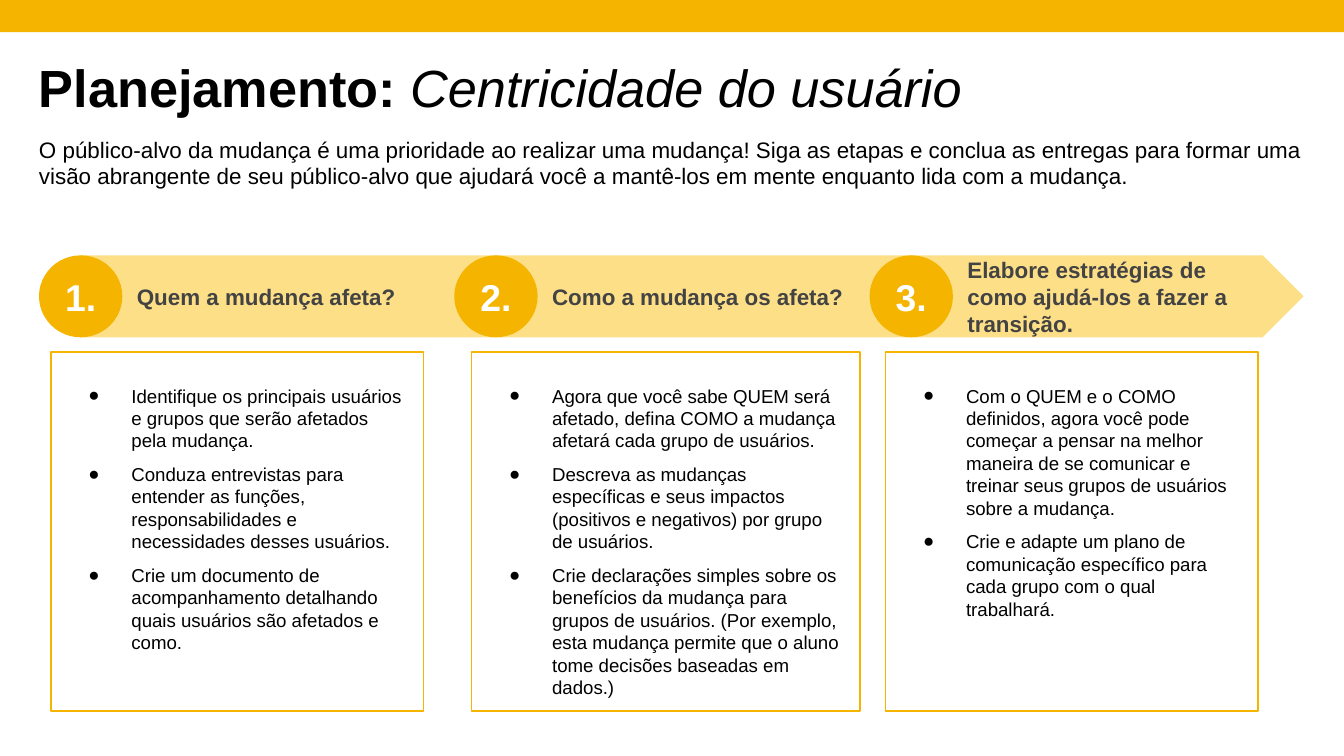
from lxml import etree
from pptx import Presentation
from pptx import util as u
from pptx.dml.color import RGBColor
from pptx.enum import shapes, text
from pptx.oxml.ns import qn

W = 10
H = W * 9 / 16
GOLD, PALE, GREY, BLACK, WHITE = "F4B400", "FDDF87", "434343", "000000", "FFFFFF"
LEFT, WIDE = 0.29, 9.41
STEP, ROW, BALL, BAR = 3.09, 1.9, 0.62, 0.61
KIND = shapes.MSO_SHAPE
MID = text.MSO_ANCHOR.MIDDLE

TITLE = [("Planejamento: ", True, False), ("Centricidade do usuário", False, True)]
INTRO = (
    "O público-alvo da mudança é uma prioridade ao realizar uma mudança! Siga as etapas "
    "e conclua as entregas para formar uma visão abrangente de seu público-alvo que "
    "ajudará você a mantê-los em mente enquanto lida com a mudança."
)
STEPS = [
    {"head": "Quem a mudança afeta?", "span": 2.37, "box": (0.38, 2.77), "items": [
        "Identifique os principais usuários e grupos que serão afetados pela mudança.",
        "Conduza entrevistas para entender as funções, responsabilidades e necessidades "
        "desses usuários.",
        "Crie um documento de acompanhamento detalhando quais usuários são afetados e como.",
    ]},
    {"head": "Como a mudança os afeta?", "span": 2.47, "box": (3.51, 2.89), "items": [
        "Agora que você sabe QUEM será afetado, defina COMO a mudança afetará cada grupo "
        "de usuários.",
        "Descreva as mudanças específicas e seus impactos (positivos e negativos) por grupo "
        "de usuários.",
        "Crie declarações simples sobre os benefícios da mudança para grupos de usuários. "
        "(Por exemplo, esta mudança permite que o aluno tome decisões baseadas em dados.)",
    ]},
    {"head": "Elabore estratégias de como ajudá-los a fazer a transição.", "span": 2.26,
     "box": (6.59, 2.77), "items": [
        "Com o QUEM e o COMO definidos, agora você pode começar a pensar na melhor maneira "
        "de se comunicar e treinar seus grupos de usuários sobre a mudança.",
        "Crie e adapte um plano de comunicação específico para cada grupo com o qual "
        "trabalhará.",
    ]},
]


def tint(code):
    return RGBColor.from_string(code)


def draw(slide, kind, *at, fill=None, line=None):
    shape = slide.shapes.add_shape(kind, *map(u.Inches, at))
    shape.shadow.inherit = False
    if fill:
        shape.fill.solid()
        shape.fill.fore_color.rgb = tint(fill)
    else:
        shape.fill.background()
    if line:
        shape.line.color.rgb = tint(line)
        shape.line.width = u.Pt(0.75)
    else:
        shape.line.fill.background()
    return shape


def area(slide, *at):
    return slide.shapes.add_textbox(*map(u.Inches, at))


def dot(para):
    props = para._p.get_or_add_pPr()
    props.set("marL", str(u.Inches(0.5)))
    props.set("indent", str(u.Inches(-0.32)))
    tone = etree.SubElement(props, qn("a:buClr"))
    etree.SubElement(tone, qn("a:srgbClr"), val=BLACK)
    etree.SubElement(props, qn("a:buFont"), typeface="Arial")
    etree.SubElement(props, qn("a:buChar"), char="●")


def write(shape, paras, size=12, color=BLACK, bold=False, inset=(0.1, 0.05, 0.1, 0.05),
          anchor=text.MSO_ANCHOR.TOP, align=text.PP_ALIGN.LEFT, lead=None, after=0,
          bullet=False):
    frame = shape.text_frame
    frame.word_wrap = True
    frame.vertical_anchor = anchor
    (frame.margin_left, frame.margin_top,
     frame.margin_right, frame.margin_bottom) = map(u.Inches, inset)
    for i, runs in enumerate(paras):
        para = frame.add_paragraph() if i else frame.paragraphs[0]
        para.alignment = align
        para.space_after = u.Pt(after)
        if lead:
            para.line_spacing = lead
        if bullet:
            dot(para)
        for words, heavy, slant in [(runs, bold, False)] if isinstance(runs, str) else runs:
            run = para.add_run()
            run.text = words
            font = run.font
            font.name, font.size = "Arial", u.Pt(size)
            font.bold, font.italic = heavy, slant
            font.color.rgb = tint(color)


def main():
    """Build the three-step planning slide."""
    deck = Presentation()
    deck.slide_width, deck.slide_height = u.Inches(W), u.Inches(H)
    slide = deck.slides.add_slide(deck.slide_layouts[6])

    draw(slide, KIND.RECTANGLE, 0, 0, W, 0.24, fill=GOLD)
    write(area(slide, LEFT, 0.45, WIDE, 0.45), [TITLE], size=28,
          inset=(0, 0.05, 0, 0), lead=0.8)
    write(area(slide, LEFT, 1.01, WIDE, 0.52), [INTRO], inset=(0, 0, 0, 0))
    draw(slide, KIND.PENTAGON, 0.6, ROW, 9.1, BAR, fill=PALE)

    for i, step in enumerate(STEPS):
        x = LEFT + i * STEP
        ball = draw(slide, KIND.OVAL, x, ROW, BALL, BAR, fill=GOLD)
        write(ball, [f"{i + 1}."], size=20, color=WHITE, bold=True, inset=(0.1,) * 4,
              anchor=MID, align=text.PP_ALIGN.CENTER)
        write(area(slide, x + BALL + 0.01, 1.84, step["span"], 0.73), [step["head"]],
              color=GREY, bold=True, anchor=MID)
        left, width = step["box"]
        card = draw(slide, KIND.RECTANGLE, left, 2.62, width, 2.67, line=GOLD)
        write(card, step["items"], size=10, inset=(0.1, 0.24, 0.14, 0.05), after=6,
              bullet=True)

    deck.save("out.pptx")


if __name__ == "__main__":
    main()
